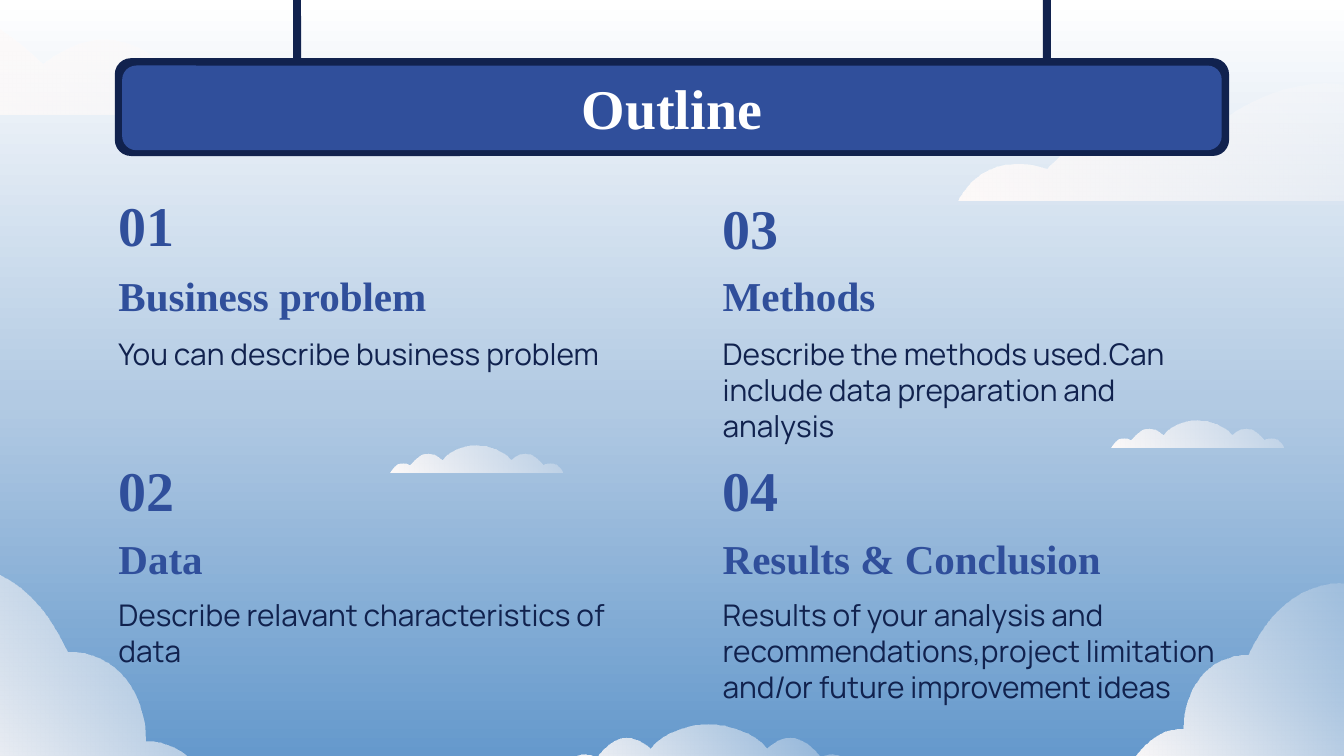
import dataclasses

import lxml.etree
import pptx
import pptx.dml.color
import pptx.enum.shapes
import pptx.enum.text
import pptx.oxml.ns
import pptx.util

Cm = pptx.util.Cm
qn = pptx.oxml.ns.qn


@dataclasses.dataclass(frozen=True)
class Theme:
    navy: str = "11224E"
    blue: str = "304F9B"
    white: str = "FFFFFF"
    sky: tuple = ((0, "6599CC", 100), (47, "B2CAE3", 100), (100, "FFFFFF", 100))
    cloud: tuple = ((0, "FEFAF9", 19), (100, "FEFAF9", 100))
    serif: str = "Times New Roman"
    sans: str = "Manrope"
    large: int = 30
    medium: int = 22
    small: int = 16


theme = Theme()
rgb = pptx.dml.color.RGBColor.from_string
middle = pptx.enum.text.MSO_ANCHOR.MIDDLE
top = pptx.enum.text.MSO_ANCHOR.TOP


def paint_gradient(fill, owner, stops, clockwise_angle):
    fill.gradient()
    fill.gradient_angle = 360 - clockwise_angle
    stop_list = next(owner.iter(qn("a:gsLst")))
    for old_stop in list(stop_list):
        stop_list.remove(old_stop)
    for position, color, opacity in stops:
        stop = lxml.etree.SubElement(stop_list, qn("a:gs"), pos=str(position * 1000))
        tint = lxml.etree.SubElement(stop, qn("a:srgbClr"), val=color)
        if opacity < 100:
            lxml.etree.SubElement(tint, qn("a:alpha"), val=str(opacity * 1000))


def write(box, text, font_name, size, color, bold, anchor):
    frame = box.text_frame
    frame.text = text
    frame.word_wrap = True
    frame.auto_size = pptx.enum.text.MSO_AUTO_SIZE.NONE
    frame.vertical_anchor = anchor
    frame.margin_left = frame.margin_right = Cm(0.25)
    frame.margin_top = frame.margin_bottom = Cm(0.25)
    font = frame.paragraphs[0].runs[0].font
    font.name = font_name
    font.size = pptx.util.Pt(size)
    font.bold = bold
    font.color.rgb = rgb(color)


presentation = pptx.Presentation()
presentation.slide_width = Cm(25.4)
presentation.slide_height = Cm(14.29)
slide = presentation.slides.add_slide(presentation.slide_layouts[5])
paint_gradient(slide.background.fill, slide.element, theme.sky, 270)

half_puff = [
    (-1.08, 0.34),
    (-1.08, 0.34), (-1.04, 0.22), (-0.92, 0.22),
    (-0.89, 0.22), (-0.86, 0.23), (-0.83, 0.24),
    (-0.77, 0.17), (-0.7, 0.1), (-0.61, 0.1),
    (-0.56, 0.1), (-0.5, 0.12), (-0.43, 0.18),
    (-0.33, 0.06), (-0.16, 0), (0, 0),
]
outlines = {
    "puff": half_puff + [(-x, y) for x, y in reversed(half_puff[:-1])],
    "corner": [
        (0, 0.09),
        (0, 0.09), (0.53, 0), (0.87, 0.73),
        (1.24, 0.73), (1.45, 1.04), (1.45, 1.39),
        (1.78, 1.39), (1.92, 1.71), (1.92, 1.71),
        (0, 1.71),
    ],
    "bank": [
        (0, 0.14),
        (0, 0.14), (0.54, 0), (1.17, 0.62),
        (1.65, 0.26), (1.95, 0.5), (2.21, 0.76),
        (2.71, 0.6), (2.87, 1), (2.87, 1),
        (0, 1),
    ],
}

back_clouds = [
    ("puff", 13.39, 13.69, 2.54, 1),
    ("corner", -0.94, 10.46, 2.54, 1),
    ("corner", 25.4, 10.85, 2.09, -1),
    ("bank", 25.4, 1.25, 2.54, -1),
    ("bank", -2.16, -0.37, 2.54, 1),
]
front_clouds = [("puff", 9.01, 8.42, 1.5, 1), ("puff", 22.63, 7.95, 1.5, 1)]
for kind, left, cloud_top, scale, direction in back_clouds + front_clouds:
    points = [(Cm(left + direction * scale * x), Cm(cloud_top + scale * y)) for x, y in outlines[kind]]
    builder = slide.shapes.build_freeform(*points[0])
    builder.add_line_segments(points[1:], close=True)
    cloud = builder.convert_to_shape()
    segments = list(cloud.element.iter(qn("a:lnTo")))
    for first in range(0, len(segments) - 2, 3):
        curve = lxml.etree.Element(qn("a:cubicBezTo"))
        segments[first].addprevious(curve)
        for segment in segments[first:first + 3]:
            curve.append(segment[0])
            segment.getparent().remove(segment)
    cloud.shadow.inherit = False
    cloud.line.fill.background()
    paint_gradient(cloud.fill, cloud.element, theme.cloud, 135)

sign_parts = [
    (2.17, 1.1, 21.06, 1.85, theme.navy),
    (2.31, 1.24, 20.78, 1.6, theme.blue),
    (19.71, -0.69, 0.15, 1.85, theme.navy),
    (5.54, -0.69, 0.15, 1.85, theme.navy),
]
for left, part_top, width, height, color in sign_parts:
    part = slide.shapes.add_shape(
        pptx.enum.shapes.MSO_SHAPE.ROUNDED_RECTANGLE, Cm(left), Cm(part_top), Cm(width), Cm(height))
    part.shadow.inherit = False
    part.fill.solid()
    part.fill.fore_color.rgb = rgb(color)
    part.line.fill.background()

title = slide.shapes.title
title.left, title.top, title.width, title.height = Cm(1.5), Cm(1.23), Cm(22.4), Cm(1.6)
write(title, "Outline", theme.serif, theme.large, theme.white, True, middle)
title.text_frame.paragraphs[0].alignment = pptx.enum.text.PP_ALIGN.CENTER
title.element.getparent().append(title.element)

columns = (1.99, 13.41)
heading_tops = (4.86, 9.83)
body_tops = (6.1, 11.03)
topics = [
    (3.66, "Business problem", "You can describe business problem"),
    (8.67, "Data", "Describe relavant characteristics of data"),
    (3.72, "Methods", "Describe the methods used.Can include data preparation and analysis"),
    (8.67, "Results & Conclusion",
     "Results of your analysis and recommendations,project limitation and/or future improvement ideas"),
]
for index, (number_top, heading_text, body_text) in enumerate(topics):
    column, row = divmod(index, 2)
    left = Cm(columns[column])
    number = slide.shapes.add_textbox(left, Cm(number_top), Cm(2.59), Cm(1.14))
    write(number, f"{index + 1:02d}", theme.serif, theme.large, theme.blue, True, middle)
    heading = slide.shapes.add_textbox(left, Cm(heading_tops[row]), Cm(9.98), Cm(1.14))
    write(heading, heading_text, theme.serif, theme.medium, theme.blue, True, top)
    body = slide.shapes.add_textbox(left, Cm(body_tops[row]), Cm(9.98), Cm(1.6))
    write(body, body_text, theme.sans, theme.small, theme.navy, False, top)

presentation.save("out.pptx")
